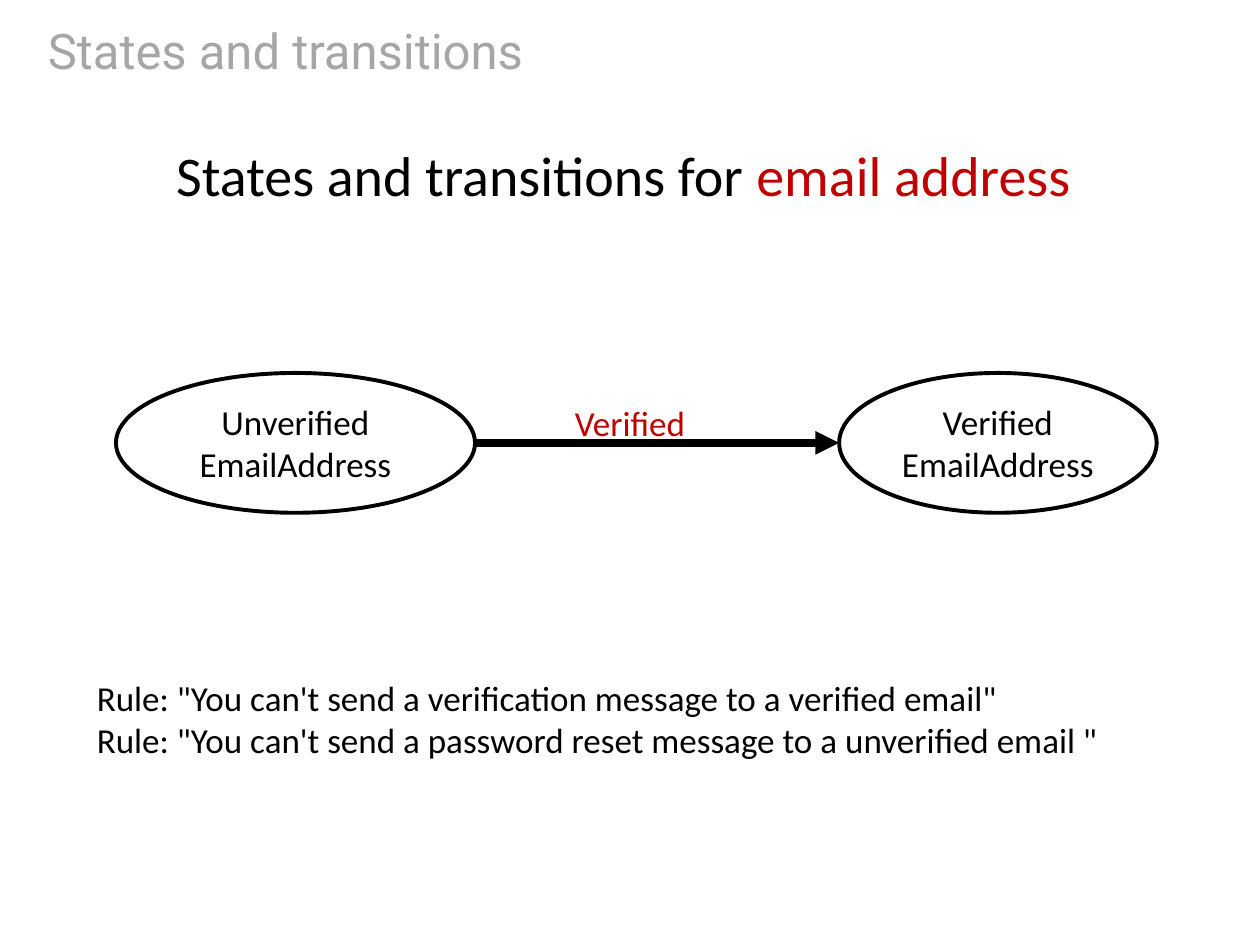
import pptx
import pptx.dml.color
import pptx.enum.shapes
import pptx.enum.text
import pptx.util
from lxml import etree
from pptx.util import Inches

BLACK, RED, GREY, WHITE = "000000", "C00000", "A6A6A6", "FFFFFF"
Align = pptx.enum.text.PP_ALIGN
Anchor = pptx.enum.text.MSO_ANCHOR


def rgb(color):
    return pptx.dml.color.RGBColor.from_string(color)


def write(shape, *paragraphs, size=20, font="Calibri", color=BLACK,
          align=Align.LEFT, anchor=Anchor.TOP, margin=None):
    """Fill a shape with paragraphs, each a string or a list of (text, color) runs.

    A newline inside a string becomes a line break.
    """
    frame = shape.text_frame
    frame.word_wrap = True
    frame.vertical_anchor = anchor
    if margin is not None:
        frame.margin_left = frame.margin_right = margin
        frame.margin_top = frame.margin_bottom = margin
    for index, content in enumerate(paragraphs):
        paragraph = frame.add_paragraph() if index else frame.paragraphs[0]
        paragraph.alignment = align
        runs = [(content, color)] if isinstance(content, str) else content
        for text, run_color in runs:
            for line_number, line in enumerate(text.split("\n")):
                if line_number:
                    paragraph.add_line_break()
                run = paragraph.add_run()
                run.text = line
                run.font.size = pptx.util.Pt(size)
                run.font.name = font
                run.font.color.rgb = rgb(run_color)


presentation = pptx.Presentation()
presentation.slide_width = Inches(10)
presentation.slide_height = Inches(7.5)
slide = presentation.slides.add_slide(presentation.slide_layouts[5])
shapes = slide.shapes

# Title
title = shapes.title
title.left, title.top = Inches(0.28), Inches(0.13)
title.width, title.height = Inches(9.45), Inches(0.54)
write(title, "States and transitions", size=28, font="Roboto", color=GREY,
      anchor=Anchor.MIDDLE)

# States
states = []
for text, left, width in [("Unverified EmailAddress", 0.92, 2.85),
                          ("Verified\nEmailAddress", 6.66, 2.52)]:
    state = shapes.add_shape(pptx.enum.shapes.MSO_SHAPE.OVAL, Inches(left),
                             Inches(2.96), Inches(width), Inches(1.11))
    state.shadow.inherit = False
    state.fill.solid()
    state.fill.fore_color.rgb = rgb(WHITE)
    state.line.color.rgb = rgb(BLACK)
    state.line.width = pptx.util.Pt(2.25)
    write(state, text, align=Align.CENTER, anchor=Anchor.MIDDLE)
    states.append(state)

# Transition from the right side of the first state to the left side of the second
unverified, verified = states
middle = unverified.top + unverified.height // 2
arrow = shapes.add_connector(pptx.enum.shapes.MSO_CONNECTOR.STRAIGHT,
                             unverified.left + unverified.width, middle,
                             verified.left, middle)
arrow.line.color.rgb = rgb(BLACK)
arrow.line.width = pptx.util.Pt(4.5)
namespace = "{http://schemas.openxmlformats.org/drawingml/2006/main}"
properties = arrow._element.spPr
etree.SubElement(properties.find(namespace + "ln"), namespace + "tailEnd", type="triangle")
etree.SubElement(properties, namespace + "effectLst")

label = shapes.add_textbox(Inches(4.1), Inches(3.19), Inches(1.8), Inches(0.52))
write(label, "Verified", color=RED, align=Align.CENTER, margin=0)

# Heading and rules
heading = shapes.add_textbox(Inches(1.3), Inches(1.07), Inches(8.5), Inches(0.64))
write(heading, [("States and transitions for ", BLACK), ("email address", RED)], size=32)

rules = shapes.add_textbox(Inches(0.67), Inches(5.32), Inches(8.5), Inches(1.11))
write(rules,
      "Rule: \"You can't send a verification message to a verified email\"",
      "Rule: \"You can't send a password reset message to a unverified email \"")

presentation.save("out.pptx")
